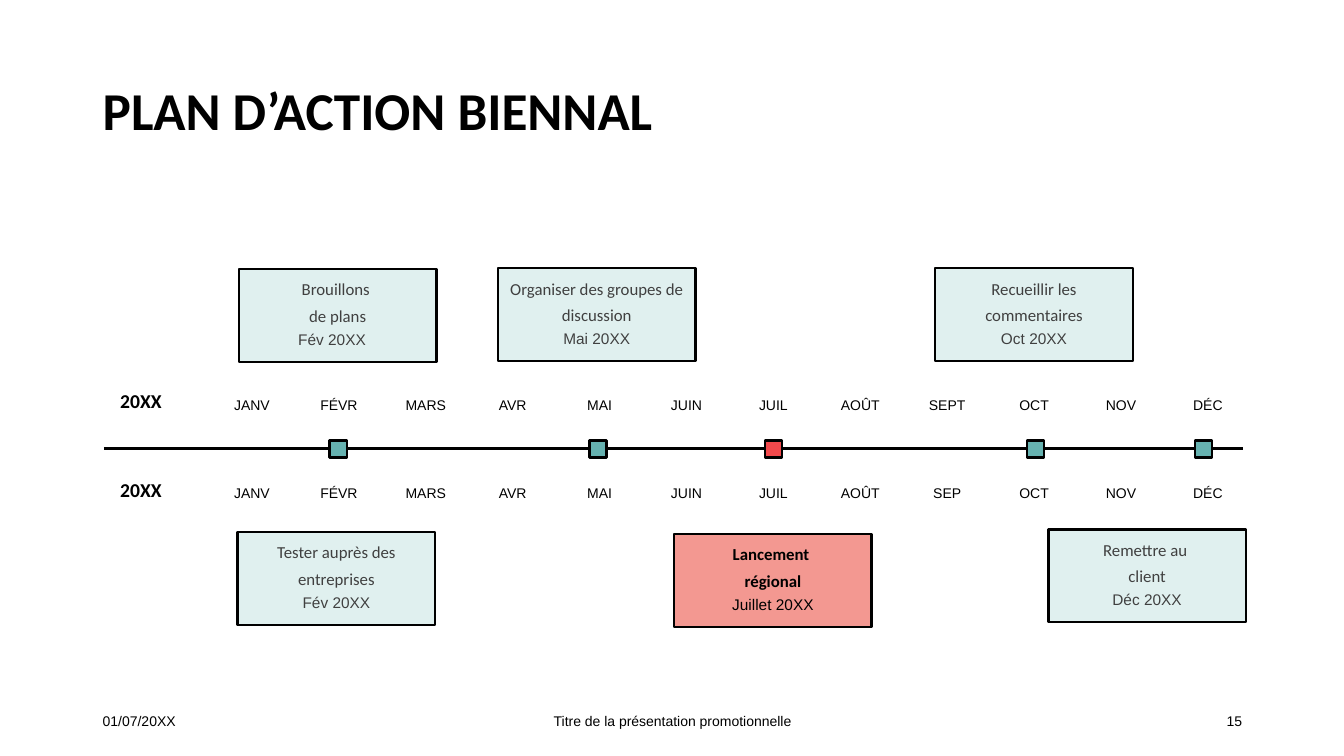
from dataclasses import dataclass

from lxml import etree
from pptx import Presentation
from pptx.dml.color import RGBColor
from pptx.enum.shapes import MSO_CONNECTOR, MSO_SHAPE
from pptx.enum.text import MSO_ANCHOR, PP_ALIGN
from pptx.oxml.ns import qn
from pptx.shapes.autoshape import Shape
from pptx.slide import Slide
from pptx.text.text import TextFrame
from pptx.util import Cm, Pt

LEFT, MID, RIGHT = PP_ALIGN.LEFT, PP_ALIGN.CENTER, PP_ALIGN.RIGHT
TOP, CENTER = MSO_ANCHOR.TOP, MSO_ANCHOR.MIDDLE
RECT, STRAIGHT = MSO_SHAPE.RECTANGLE, MSO_CONNECTOR.STRAIGHT


@dataclass(frozen=True)
class Theme:
    head: str = "Calibri"
    body: str = "Arial"
    black: str = "000000"
    gray: str = "404040"
    pale: str = "E0F0EF"
    teal: str = "66B2B0"
    rose: str = "F39891"
    red: str = "F2494C"
    title: float = 38
    year: float = 14
    task: float = 12
    date: float = 11
    small: float = 10
    edge: float = 1.75
    axis: float = 2


THEME = Theme()


@dataclass(frozen=True)
class Box:
    left: float
    top: float
    width: float
    height: float


@dataclass(frozen=True)
class Style:
    size: float
    font: str = THEME.body
    color: str = THEME.black
    bold: bool = False
    align: PP_ALIGN = MID
    anchor: MSO_ANCHOR = TOP
    line: float = 1.0


@dataclass(frozen=True)
class Card:
    left: float
    top: float
    task: str
    date: str
    shift: float = 0.14  # offset of the date from the card's left edge
    drop: float = 1.53  # offset of the date from the card's top edge
    line: float = 0.7
    key: bool = False


@dataclass(frozen=True)
class Mark:
    left: float
    color: str = THEME.teal


@dataclass(frozen=True)
class Row:
    year: float  # top of the year label
    top: float  # top of the month labels
    months: str


@dataclass(frozen=True)
class Foot:
    left: float
    width: float
    text: str
    align: PP_ALIGN


CARDS = [
    Card(6.02, 6.78, "Brouillons \nde plans", "Fév 20XX", shift=0),
    Card(12.55, 6.76, "Organiser des groupes de discussion", "Mai 20XX"),
    Card(23.57, 6.76, "Recueillir les commentaires", "Oct 20XX",
         drop=1.47, line=0.9),
    Card(5.99, 13.41, "Tester auprès des entreprises", "Fév 20XX"),
    Card(16.99, 13.46, "Lancement \nrégional", "Juillet 20XX", key=True),
    Card(26.42, 13.34, "Remettre au \nclient", "Déc 20XX"),
]
MARKS = [Mark(8.31), Mark(14.86), Mark(19.28, THEME.red), Mark(25.88),
         Mark(30.12)]
ROWS = [
    Row(9.5, 9.91, "JANV FÉVR MARS AVR MAI JUIN JUIL AOÛT SEPT OCT NOV DÉC"),
    Row(11.73, 12.12, "JANV FÉVR MARS AVR MAI JUIN JUIL AOÛT SEP OCT NOV DÉC"),
]
FEET = [
    Foot(2.34, 7.62, "01/07/20XX", LEFT),
    Foot(11.23, 11.43, "Titre de la présentation promotionnelle", MID),
    Foot(23.93, 7.62, "15", RIGHT),
]
FIRST, STEP = 5.46, 2.19  # left of the first month, month pitch


def place(box: Box) -> tuple[Cm, Cm, Cm, Cm]:
    return Cm(box.left), Cm(box.top), Cm(box.width), Cm(box.height)


def write(frame: TextFrame, text: str, style: Style) -> None:
    frame.text = text
    frame.word_wrap = True
    frame.vertical_anchor = style.anchor
    for para in frame.paragraphs:
        para.alignment = style.align
        para.line_spacing = style.line
        for run in para.runs:
            run.font.name = style.font
            run.font.size = Pt(style.size)
            run.font.bold = style.bold
            run.font.color.rgb = RGBColor.from_string(style.color)


def label(slide: Slide, box: Box, text: str, style: Style) -> None:
    write(slide.shapes.add_textbox(*place(box)).text_frame, text, style)


def block(slide: Slide, box: Box, fill: str) -> Shape:
    shape = slide.shapes.add_shape(RECT, *place(box))
    shape.shadow.inherit = False
    shape.fill.solid()
    shape.fill.fore_color.rgb = RGBColor.from_string(fill)
    shape.line.color.rgb = RGBColor.from_string(THEME.black)
    shape.line.width = Pt(THEME.edge)
    return shape


def axis(slide: Slide) -> None:
    line = slide.shapes.add_connector(
        STRAIGHT, Cm(2.62), Cm(11.3), Cm(31.32), Cm(11.3))
    line.line.color.rgb = RGBColor.from_string(THEME.black)
    line.line.width = Pt(THEME.axis)
    etree.SubElement(line._element.spPr, qn("a:effectLst"))


def months(slide: Slide, row: Row) -> None:
    label(slide, Box(2.54, row.year, 2.03, 1.27), "20XX",
          Style(THEME.year, THEME.head, bold=True, anchor=CENTER, line=0.9))
    for i, name in enumerate(row.months.split()):
        label(slide, Box(FIRST + i * STEP, row.top, 1.78, 0.76), name,
              Style(THEME.small, line=0.9))


def draw(slide: Slide, card: Card) -> None:
    color = THEME.black if card.key else THEME.gray
    fill = THEME.rose if card.key else THEME.pale
    shape = block(slide, Box(card.left, card.top, 4.98, 2.34), fill)
    frame = shape.text_frame
    frame.margin_left = frame.margin_right = Cm(0.25)
    frame.margin_top, frame.margin_bottom = Cm(0.1), Cm(0.13)
    write(frame, card.task,
          Style(THEME.task, THEME.head, color, card.key, line=1.3))
    label(slide,
          Box(card.left + card.shift, card.top + card.drop, 4.7, 0.64),
          card.date, Style(THEME.date, color=color, line=card.line))


def main() -> None:
    deck = Presentation()
    deck.slide_width, deck.slide_height = Cm(33.87), Cm(19.05)
    slide = deck.slides.add_slide(deck.slide_layouts[6])

    # Title
    label(slide, Box(2.34, 1.02, 29.21, 3.68), "PLAN D’ACTION BIENNAL",
          Style(THEME.title, THEME.head, bold=True, align=LEFT,
                anchor=CENTER, line=0.9))

    # Timeline: axis, months of both years, milestones
    axis(slide)
    for row in ROWS:
        months(slide, row)
    for mark in MARKS:
        block(slide, Box(mark.left, 11.1, 0.43, 0.43), mark.color)

    # Task cards
    for card in CARDS:
        draw(slide, card)

    # Footer
    for foot in FEET:
        label(slide, Box(foot.left, 17.65, foot.width, 1.02), foot.text,
              Style(THEME.small, align=foot.align, anchor=CENTER))

    deck.save("out.pptx")


if __name__ == "__main__":
    main()
